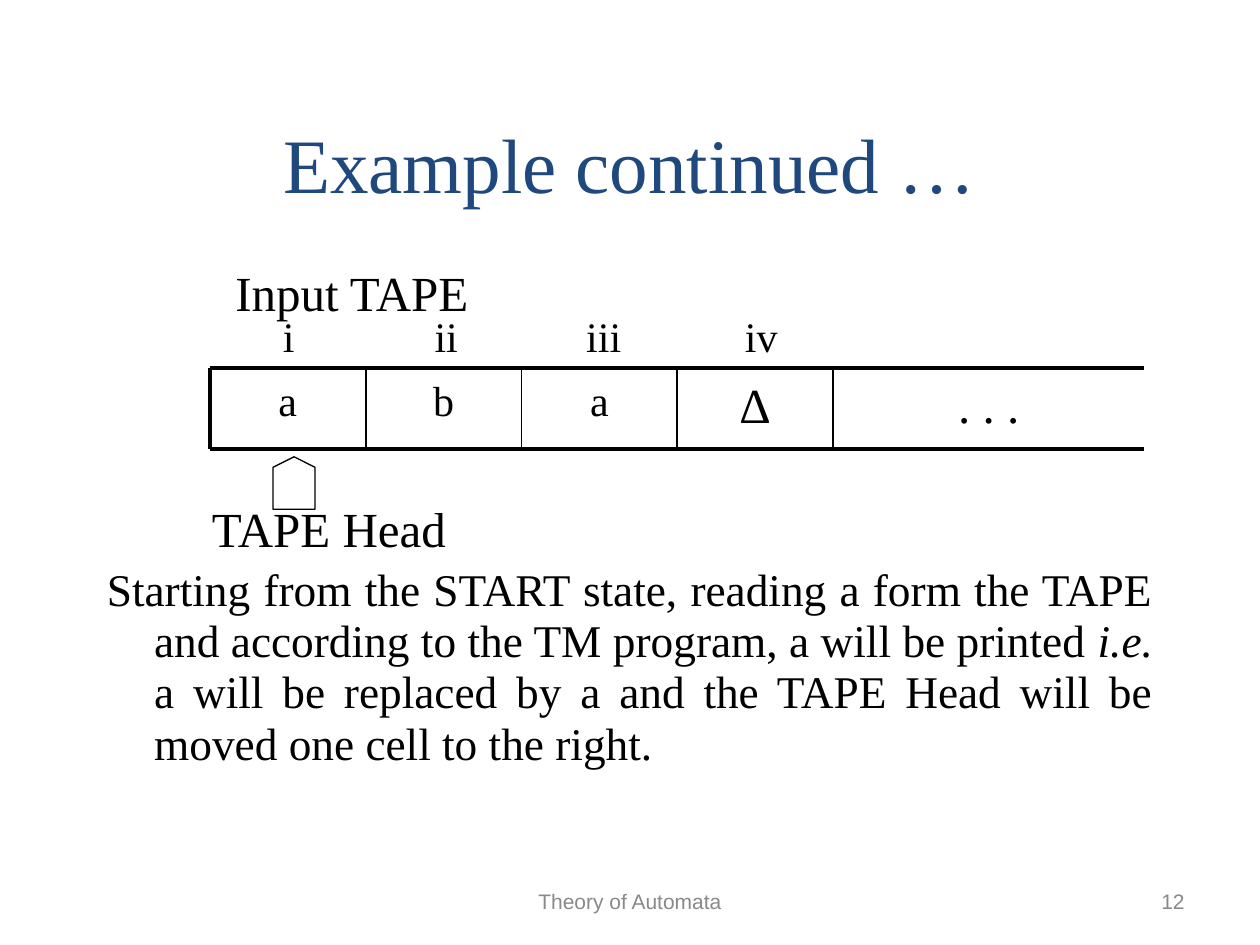
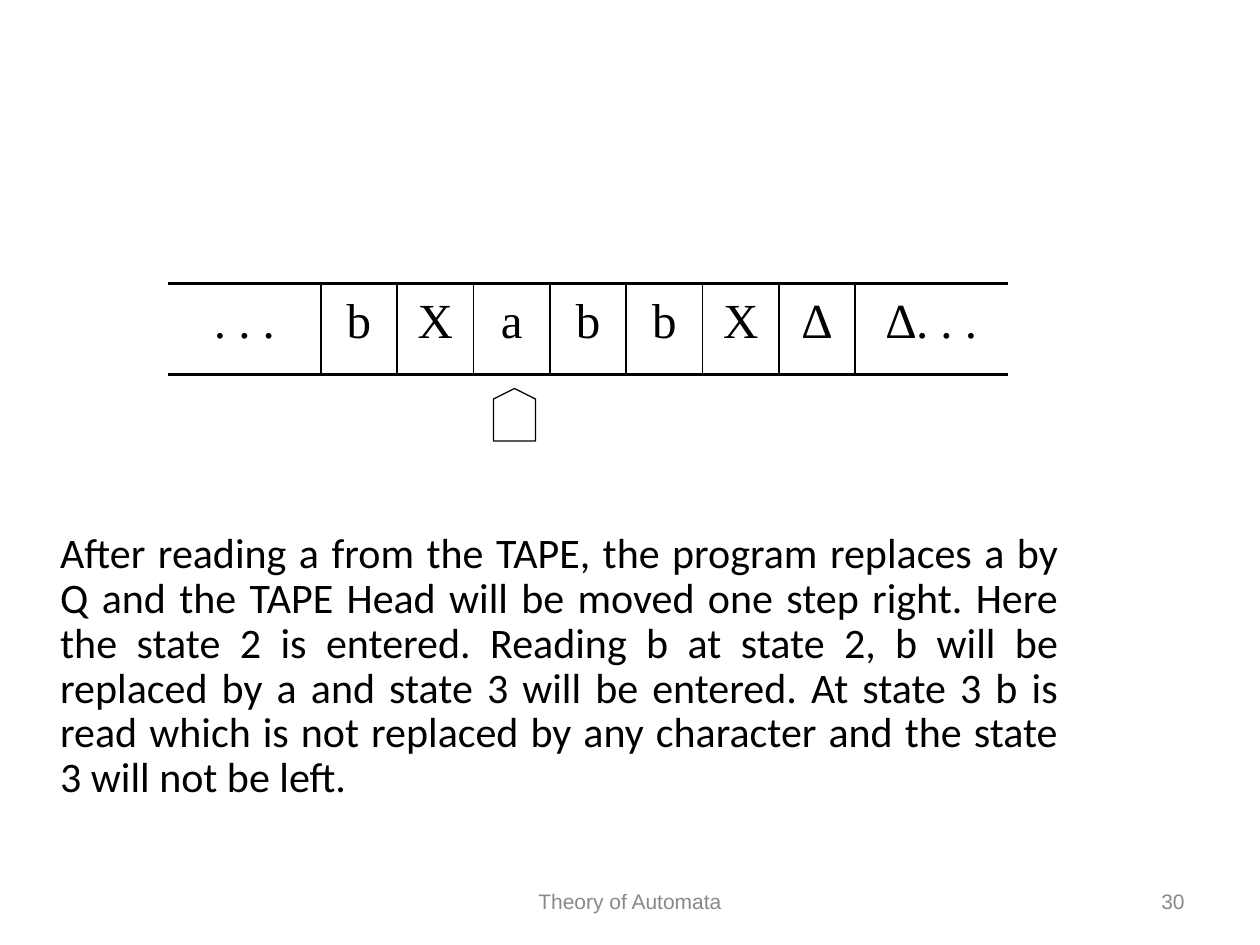
from dataclasses import dataclass
from itertools import accumulate

import pptx
import pptx.dml.color
import pptx.enum.shapes
import pptx.enum.text
import pptx.oxml.ns
import pptx.shapes.autoshape
import pptx.slide
import pptx.util
from lxml import etree

Pt = pptx.util.Pt
Align = pptx.enum.text.PP_ALIGN
Anchor = pptx.enum.text.MSO_ANCHOR

BLACK, NAVY, GREY = "000000", "1F497D", "898989"
SERIF, SANS, FOOTER_FONT = "Times New Roman", "Calibri", "Arial"
FOOTER_TOP, FOOTER_HEIGHT = 500.4, 28.8
HEAD_WIDTH, HEAD_HEIGHT = 24, 30


@dataclass(frozen=True)
class Box:
    left: float
    top: float
    width: float
    height: float


@dataclass(frozen=True)
class Style:
    size: float
    font: str = SERIF
    color: str = BLACK
    align: Align = Align.CENTER
    anchor: Anchor = Anchor.TOP
    line_spacing: float = 1.0
    hanging: float = 0


@dataclass(frozen=True)
class Span:
    text: str
    italic: bool = False


@dataclass(frozen=True)
class Cell:
    symbol: str
    size: float = 28
    units: int = 1


@dataclass(frozen=True)
class Tape:
    box: Box
    cells: tuple[Cell, ...]
    starts_here: bool = False


TITLE = Style(44, color=NAVY, anchor=Anchor.MIDDLE)
CAPTION = Style(28, align=Align.LEFT)
CELL_NUMBER = Style(24)
SERIF_BODY = Style(25.9, align=Align.JUSTIFY, line_spacing=0.94, hanging=27)
SANS_BODY = Style(24, SANS, align=Align.JUSTIFY, line_spacing=0.89)
FOOTER = Style(12, FOOTER_FONT, GREY, anchor=Anchor.MIDDLE)
PAGE_NUMBER = Style(12, FOOTER_FONT, GREY, Align.RIGHT, Anchor.MIDDLE)


def rgb(value: str) -> pptx.dml.color.RGBColor:
    return pptx.dml.color.RGBColor.from_string(value)


def add_text(page: pptx.slide.Slide, box: Box, style: Style, *spans: Span) -> None:
    shape = page.shapes.add_textbox(Pt(box.left), Pt(box.top), Pt(box.width), Pt(box.height))
    frame = shape.text_frame
    frame.word_wrap = True
    frame.vertical_anchor = style.anchor
    para = frame.paragraphs[0]
    para.alignment = style.align
    para.line_spacing = style.line_spacing
    if style.hanging:
        properties = para._p.get_or_add_pPr()
        properties.set("marL", str(Pt(style.hanging)))
        properties.set("indent", str(-Pt(style.hanging)))
    for span in spans:
        run = para.add_run()
        run.text = span.text
        run.font.name = style.font
        run.font.size = Pt(style.size)
        run.font.italic = span.italic
        run.font.color.rgb = rgb(style.color)


def add_line(page: pptx.slide.Slide, x1: float, y1: float, x2: float, y2: float, weight: float) -> None:
    line = page.shapes.add_connector(
        pptx.enum.shapes.MSO_CONNECTOR.STRAIGHT, Pt(x1), Pt(y1), Pt(x2), Pt(y2)
    )
    line.line.color.rgb = rgb(BLACK)
    line.line.width = Pt(weight)
    etree.SubElement(line._element.spPr, pptx.oxml.ns.qn("a:effectLst"))


def add_tape(page: pptx.slide.Slide, tape: Tape) -> None:
    box = tape.box
    bottom, right = box.top + box.height, box.left + box.width
    unit = box.width / sum(cell.units for cell in tape.cells)
    edges = [box.left + unit * n for n in accumulate((cell.units for cell in tape.cells), initial=0)]
    for cell, left in zip(tape.cells, edges):
        cell_box = Box(left, box.top, cell.units * unit, box.height)
        add_text(page, cell_box, Style(cell.size), Span(cell.symbol))
    # Heavy rails, then thin dividers between cells
    for y in (box.top, bottom):
        add_line(page, box.left, y, right, y, 2.25)
    if tape.starts_here:
        add_line(page, box.left, box.top, box.left, bottom, 2.25)
    for x in edges[1:-1]:
        add_line(page, x, box.top, x, bottom, 1)


def add_tape_head(page: pptx.slide.Slide, left: float, top: float) -> None:
    head = page.shapes.add_shape(
        pptx.enum.shapes.MSO_SHAPE.FLOWCHART_OFFPAGE_CONNECTOR,
        Pt(left), Pt(top), Pt(HEAD_WIDTH), Pt(HEAD_HEIGHT),
    )
    head.rotation = 180
    head.shadow.inherit = False
    head.fill.background()
    head.line.color.rgb = rgb(BLACK)
    head.line.width = Pt(0.75)


def add_page(deck, number: int) -> pptx.slide.Slide:
    page = deck.slides.add_slide(deck.slide_layouts[6])
    add_text(page, Box(246, FOOTER_TOP, 228, FOOTER_HEIGHT), FOOTER, Span("Theory of Automata"))
    add_text(page, Box(516, FOOTER_TOP, 168, FOOTER_HEIGHT), PAGE_NUMBER, Span(str(number)))
    return page


def build_first_step(deck) -> None:
    page = add_page(deck, 12)
    add_text(page, Box(54, 48, 612, 90), TITLE, Span("Example continued …"))

    # Input tape with numbered cells
    cells = (Cell("a", 24), Cell("b", 24), Cell("a", 24), Cell("∆"), Cell(". . .", units=2))
    add_tape(page, Tape(Box(120, 210.4, 534, 46), cells, starts_here=True))
    for index, number in enumerate(("i", "ii", "iii", "iv")):
        add_text(page, Box(120 + 90 * index, 174, 90, 41), CELL_NUMBER, Span(number))
    add_text(page, Box(127.4, 146.2, 168, 41), CAPTION, Span("Input TAPE"))
    add_tape_head(page, 156, 261)
    add_text(page, Box(114, 281.5, 168, 41), CAPTION, Span("TAPE Head"))

    # Explanation
    add_text(
        page, Box(54, 319.7, 612, 145), SERIF_BODY,
        Span("Starting from the START state, reading a form the TAPE and according to "
             "the TM program, a will be printed "),
        Span("i.e.", italic=True),
        Span(" a will be replaced by a and the TAPE Head will be moved one cell to the right."),
    )


def build_later_step(deck) -> None:
    page = add_page(deck, 30)

    # Tape around the head
    cells = (Cell(". . .", units=2), *map(Cell, "bXabbX∆"), Cell("∆. . .", units=2))
    add_tape(page, Tape(Box(96, 162, 480, 52), cells))
    add_tape_head(page, 282, 222)

    # Explanation
    add_text(
        page, Box(27.3, 300.8, 584.7, 192), SANS_BODY,
        Span("After reading a from the TAPE, the program replaces a by Q and the TAPE Head "
             "will be moved one step right. Here the state 2 is entered. Reading b at state 2, "
             "b will be replaced by a and state 3 will be entered. At state 3 b is read which "
             "is not replaced by any character and the state 3 will not be left."),
    )


def main() -> None:
    deck = pptx.Presentation()
    deck.slide_width, deck.slide_height = Pt(720), Pt(540)
    build_first_step(deck)
    build_later_step(deck)
    deck.save("out.pptx")


if __name__ == "__main__":
    main()
